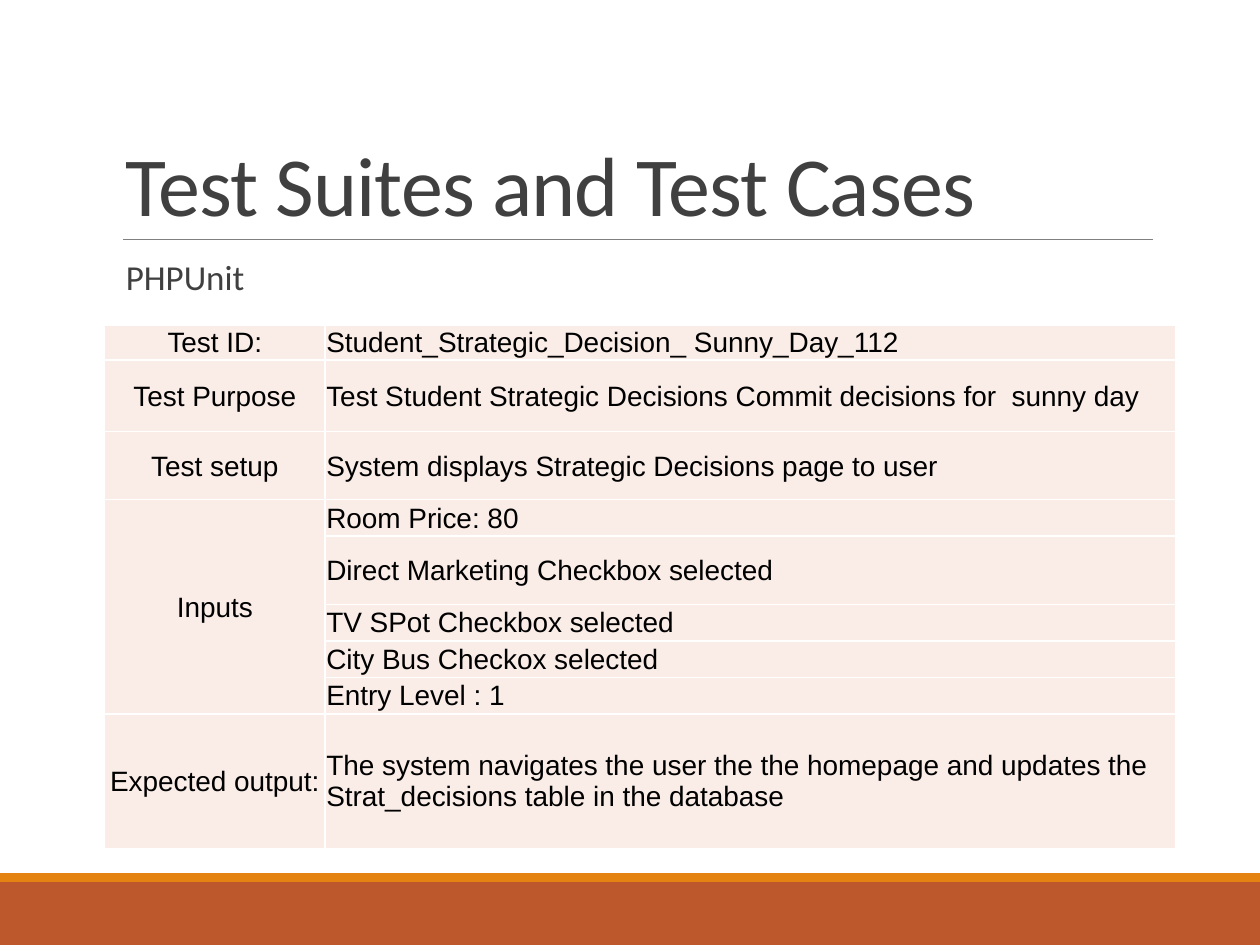
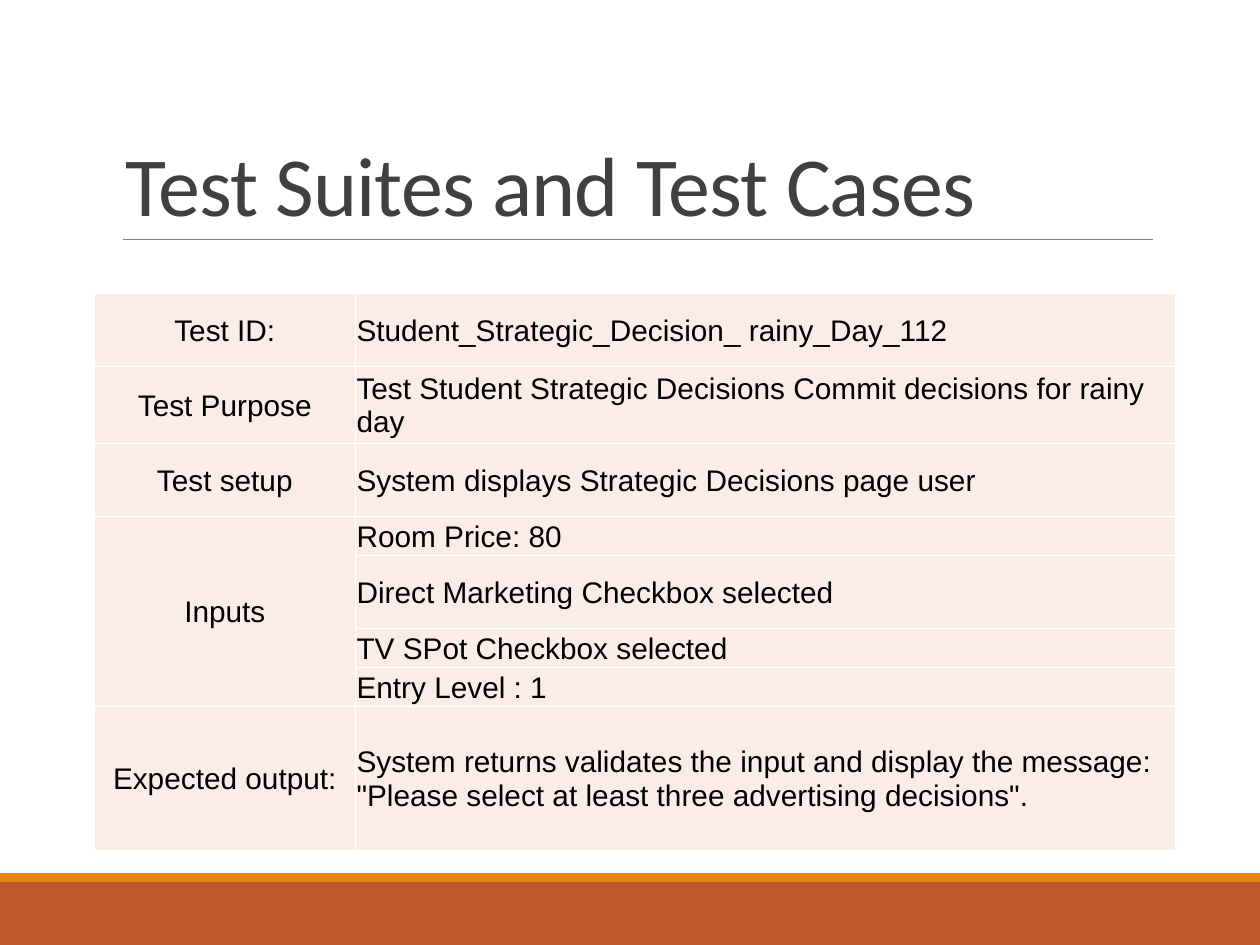
from dataclasses import dataclass

from lxml.etree import SubElement as Sub
from pptx import Presentation
from pptx.dml.color import RGBColor as RGB
from pptx.enum.shapes import MSO_CONNECTOR as Conn, MSO_SHAPE as Shape
from pptx.enum.text import MSO_ANCHOR as Anchor, PP_ALIGN as Align
from pptx.oxml.ns import qn
from pptx.util import Inches, Pt


# Theme: colours, fonts and type sizes
@dataclass(frozen=True)
class Theme:
    band: str = "BD582C"
    strip: str = "E48312"
    rule: str = "808080"
    text: str = "404040"
    ink: str = "000000"
    cell: str = "FAEDE7"
    edge: str = "FFFFFF"
    face: str = "Calibri"
    grid: str = "Arial"
    head: int = 48
    body: int = 20


def put(item, **vals):
    for key, val in vals.items():
        setattr(item, key, val)


class Deck:
    def __init__(self, theme):
        self.theme = theme
        self.show = Presentation()
        put(self.show, slide_width=Inches(10), slide_height=Inches(7.5))
        self.slide = None

    def page(self, title):
        """Start a slide with the shared bands, rule and title."""
        look = self.theme
        self.slide = self.show.slides.add_slide(self.show.slide_layouts[6])
        self.band(7, 0.5, look.band)
        self.band(6.93, 0.07, look.strip)
        self.rule(0.98, 9.15, 1.9)
        line = self.text(title, (0.9, 0.31, 8.25, 1.59), look.head,
                         dict(vertical_anchor=Anchor.BOTTOM),
                         dict(line_spacing=0.85))
        line.runs[0].font._element.set("spc", "-50")

    def band(self, top, height, color):
        box = self.slide.shapes.add_shape(
            Shape.RECTANGLE, 0, Inches(top), self.show.slide_width, Inches(height))
        box.shadow.inherit = False
        box.fill.solid()
        box.fill.fore_color.rgb = RGB.from_string(color)
        box.line.fill.background()

    def rule(self, left, right, top):
        line = self.slide.shapes.add_connector(
            Conn.STRAIGHT, Inches(left), Inches(top), Inches(right), Inches(top))
        line.line.color.rgb = RGB.from_string(self.theme.rule)
        line.line.width = Pt(0.5)
        Sub(line._element.spPr, qn("a:effectLst"))

    def label(self, frame, words, size, face, color):
        line = frame.paragraphs[0]
        run = line.add_run()
        run.text = words
        put(run.font, size=Pt(size), name=face)
        run.font.color.rgb = RGB.from_string(color)
        return line

    def text(self, words, place, size, box, para):
        look = self.theme
        frame = self.slide.shapes.add_textbox(*map(Inches, place)).text_frame
        put(frame, word_wrap=True, **box)
        line = self.label(frame, words, size, look.face, look.text)
        put(line, **para)
        return line

    def note(self, words):
        self.text(words, (0.9, 2.02, 8.25, 4.4), self.theme.body,
                  dict(margin_left=Inches(0.1), margin_right=0),
                  dict(line_spacing=0.9, space_before=Pt(12), space_after=Pt(2)))

    def cell(self, cell, words, size, align):
        look = self.theme
        edge = Inches(0.01)
        put(cell, margin_left=edge, margin_right=edge, margin_top=edge,
            margin_bottom=0, vertical_anchor=Anchor.MIDDLE)
        if words:
            line = self.label(cell.text_frame, words, size, look.grid, look.ink)
            line.alignment = align
        props = cell._tc.get_or_add_tcPr()
        for side in ("lnL", "lnR", "lnT", "lnB"):
            line = Sub(props, qn(f"a:{side}"), w=str(Pt(1)))
            Sub(Sub(line, qn("a:solidFill")), qn("a:srgbClr"), val=look.edge)
        cell.fill.solid()
        cell.fill.fore_color.rgb = RGB.from_string(look.cell)

    def table(self, left, top, cols, size, groups):
        """Each group is a label beside one or more (text, height) rows."""
        rows = [row for _, part in groups for row in part]
        high = sum(height for _, height in rows)
        grid = self.slide.shapes.add_table(
            len(rows), len(cols), Inches(left), Inches(top),
            Inches(sum(cols)), Inches(high)).table
        put(grid, first_row=False, horz_banding=False)
        for col, width in zip(grid.columns, cols):
            col.width = Inches(width)
        at = 0
        for label, part in groups:
            start = at
            for words, height in part:
                grid.rows[at].height = Inches(height)
                self.cell(grid.cell(at, 0), label if at == start else "",
                          size, Align.CENTER)
                self.cell(grid.cell(at, 1), words, size, Align.LEFT)
                at += 1
            if len(part) > 1:
                grid.cell(start, 0).merge(grid.cell(at - 1, 0))


# Content shared by both slides
TITLE = "Test Suites and Test Cases"
LABELS = ("Test ID:", "Test Purpose", "Test setup", "Inputs", "Expected output:")
PRICE = "Room Price: 80"
DIRECT = "Direct Marketing Checkbox selected"
SPOT = "TV SPot Checkbox selected"
LEVEL = "Entry Level : 1"

# Sunny day case
SUNNY = (
    [("Student_Strategic_Decision_ Sunny_Day_112", 0.11)],
    [("Test Student Strategic Decisions Commit decisions for  sunny day", 0.57)],
    [("System displays Strategic Decisions page to user", 0.54)],
    [(PRICE, 0.29), (DIRECT, 0.54), (SPOT, 0.29),
     ("City Bus Checkox selected", 0.29), (LEVEL, 0.29)],
    [("The system navigates the user the the homepage and updates the "
      "Strat_decisions table in the database", 1.07)],
)

# Rainy day case
RAINY = (
    [("Student_Strategic_Decision_ rainy_Day_112", 0.58)],
    [("Test Student Strategic Decisions Commit decisions for rainy day", 0.61)],
    [("System displays Strategic Decisions page user", 0.58)],
    [(PRICE, 0.31), (DIRECT, 0.58), (SPOT, 0.31), (LEVEL, 0.31)],
    [("System returns validates the input and display the message: "
      '"Please select at least three advertising decisions".', 1.14)],
)


def main():
    deck = Deck(Theme())

    # Slide 1: sunny day
    deck.page(TITLE)
    deck.note("PHPUnit")
    deck.table(0.83, 2.58, (1.75, 6.75), 16, list(zip(LABELS, SUNNY)))

    # Slide 2: rainy day
    deck.page(TITLE)
    deck.table(0.75, 2.33, (2.07, 6.51), 17, list(zip(LABELS, RAINY)))

    deck.show.save("out.pptx")


if __name__ == "__main__":
    main()
